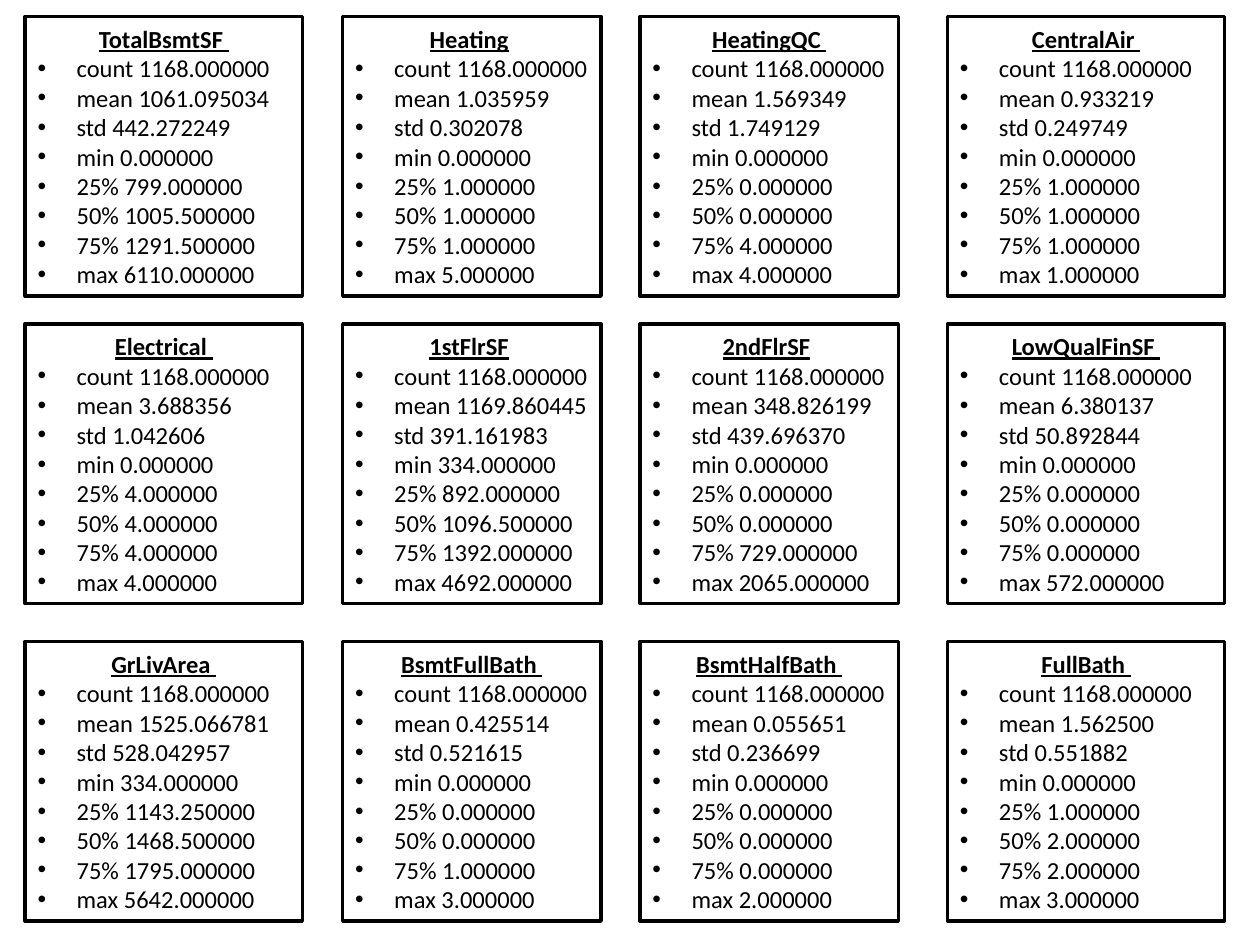
"""Builds a slide of summary statistics for twelve housing features."""
import pptx
import pptx.dml.color
import pptx.enum.shapes
import pptx.enum.text
import pptx.util
from lxml import etree
from pptx.util import Inches, Pt

STATISTICS = ("count", "mean", "std", "min", "25%", "50%", "75%", "max")
COUNT = "1168.000000"
FEATURES = [
    [
        ("TotalBsmtSF ", "1061.095034 442.272249 0.000000 799.000000 1005.500000 1291.500000 6110.000000"),
        ("Heating", "1.035959 0.302078 0.000000 1.000000 1.000000 1.000000 5.000000"),
        ("HeatingQC ", "1.569349 1.749129 0.000000 0.000000 0.000000 4.000000 4.000000"),
        ("CentralAir ", "0.933219 0.249749 0.000000 1.000000 1.000000 1.000000 1.000000"),
    ],
    [
        ("Electrical ", "3.688356 1.042606 0.000000 4.000000 4.000000 4.000000 4.000000"),
        ("1stFlrSF", "1169.860445 391.161983 334.000000 892.000000 1096.500000 1392.000000 4692.000000"),
        ("2ndFlrSF", "348.826199 439.696370 0.000000 0.000000 0.000000 729.000000 2065.000000"),
        ("LowQualFinSF ", "6.380137 50.892844 0.000000 0.000000 0.000000 0.000000 572.000000"),
    ],
    [
        ("GrLivArea ", "1525.066781 528.042957 334.000000 1143.250000 1468.500000 1795.000000 5642.000000"),
        ("BsmtFullBath ", "0.425514 0.521615 0.000000 0.000000 0.000000 1.000000 3.000000"),
        ("BsmtHalfBath ", "0.055651 0.236699 0.000000 0.000000 0.000000 0.000000 2.000000"),
        ("FullBath ", "1.562500 0.551882 0.000000 1.000000 2.000000 2.000000 3.000000"),
    ],
]

COLUMNS = ((0.2, 2.2), (2.72, 2.05), (5.08, 2.05), (7.52, 2.2))
ROW_TOPS = (0.13, 2.57, 5.09)
CARD_HEIGHT = 2.22
BULLET_INDENT = Inches(0.31)
INK, PAPER = "000000", "FFFFFF"
BODY = {"name": "Calibri", "size": Pt(14), "bold": False, "underline": False}
HEADING = {**BODY, "bold": True, "underline": True}


def color(value):
    return pptx.dml.color.RGBColor.from_string(value)


def add_run(paragraph, text, style):
    run = paragraph.add_run()
    run.text = text
    for attribute, value in style.items():
        setattr(run.font, attribute, value)
    run.font.color.rgb = color(INK)


def add_bullet(paragraph):
    properties = paragraph._p.get_or_add_pPr()
    properties.set("marL", str(BULLET_INDENT))
    properties.set("indent", str(-BULLET_INDENT))
    for tag, attribute, value in (("buFont", "typeface", "Arial"), ("buChar", "char", "•")):
        etree.SubElement(properties, pptx.oxml.ns.qn(f"a:{tag}")).set(attribute, value)


def add_card(slide, left, top, width, feature, values):
    card = slide.shapes.add_shape(
        pptx.enum.shapes.MSO_SHAPE.RECTANGLE,
        Inches(left), Inches(top), Inches(width), Inches(CARD_HEIGHT),
    )
    card.shadow.inherit = False
    card.fill.solid()
    card.fill.fore_color.rgb = color(PAPER)
    card.line.color.rgb = color(INK)
    card.line.width = Pt(2)
    frame = card.text_frame
    frame.word_wrap = True
    frame.auto_size = pptx.enum.text.MSO_AUTO_SIZE.SHAPE_TO_FIT_TEXT
    heading = frame.paragraphs[0]
    heading.alignment = pptx.enum.text.PP_ALIGN.CENTER
    add_run(heading, feature, HEADING)
    if not feature.endswith(" "):
        add_run(heading, " ", BODY)
    for statistic, value in zip(STATISTICS, (COUNT, *values.split())):
        entry = frame.add_paragraph()
        entry.alignment = pptx.enum.text.PP_ALIGN.LEFT
        add_bullet(entry)
        add_run(entry, f"{statistic} {value}", BODY)


def main():
    deck = pptx.Presentation()
    deck.slide_width, deck.slide_height = Inches(10), Inches(7.5)
    slide = deck.slides.add_slide(deck.slide_layouts[6])
    for top, features in zip(ROW_TOPS, FEATURES):
        for (left, width), (feature, values) in zip(COLUMNS, features):
            add_card(slide, left, top, width, feature, values)
    deck.save("out.pptx")


if __name__ == "__main__":
    main()
